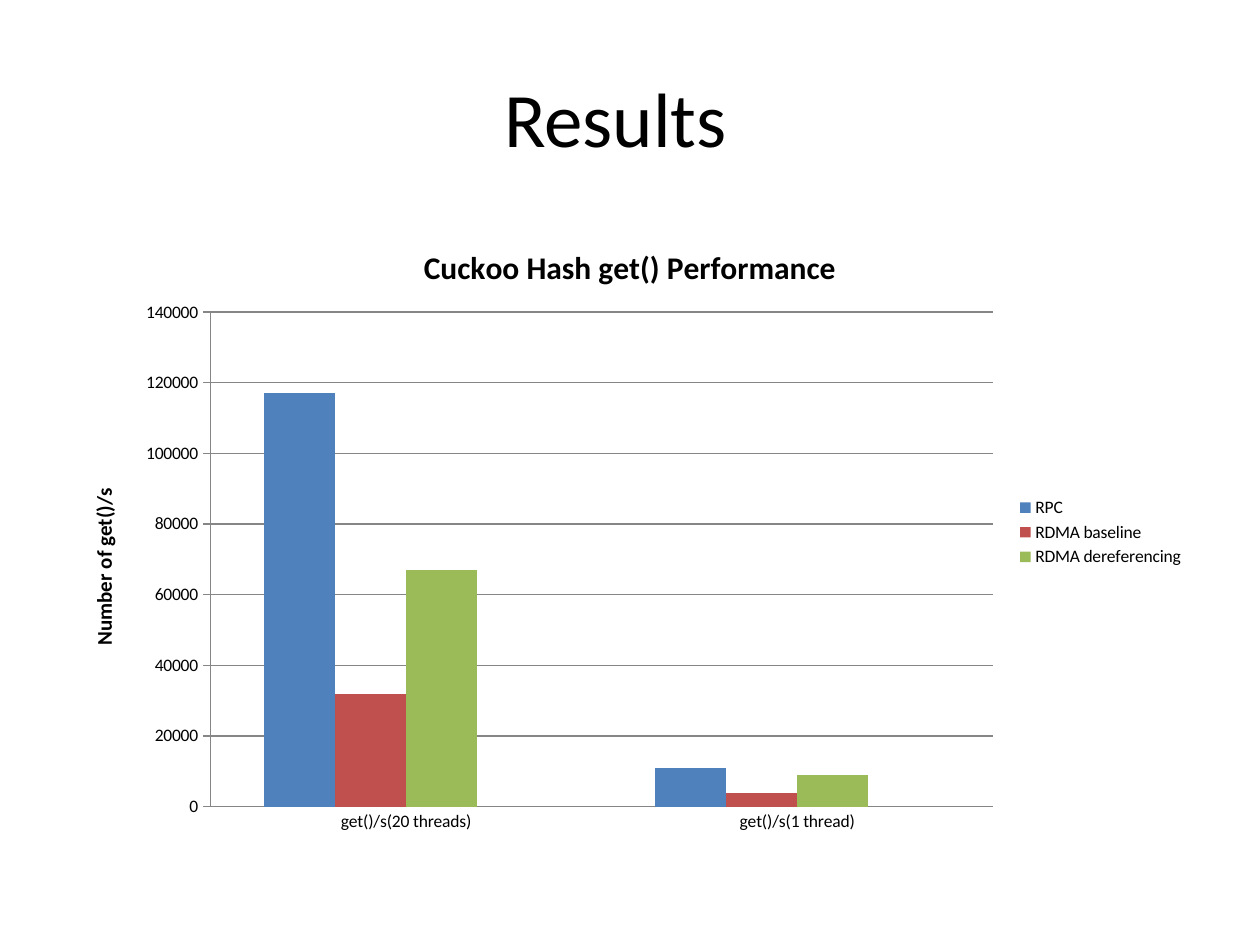
from lxml import etree
from pptx import Presentation
from pptx.chart.data import CategoryChartData
from pptx.dml.color import RGBColor
from pptx.enum.chart import XL_CHART_TYPE, XL_LEGEND_POSITION, XL_TICK_MARK
from pptx.enum.text import MSO_ANCHOR, PP_ALIGN
from pptx.oxml import parse_xml
from pptx.oxml.ns import nsdecls, qn
from pptx.util import Pt

FONT = "Calibri"
BLACK, GRAY = "000000", "868686"
CATEGORIES = ["get()/s(20 threads)", "get()/s(1 thread)"]
SERIES = [
    ("RPC", (117000, 11000), "4F81BD"),
    ("RDMA baseline", (32000, 4000), "C0504D"),
    ("RDMA dereferencing", (67000, 9000), "9BBB59"),
    ("Series 4", (None, None), "8064A2"),
]
EMPTY_SERIES = 3
PLOT_LAYOUT = {"x": 0.13, "y": 0.147, "w": 0.69, "h": 0.793}


def color(value):
    return RGBColor.from_string(value)


def format_font(font, size, bold=False):
    for name, value in {"name": FONT, "size": Pt(size), "bold": bold}.items():
        setattr(font, name, value)
    font.color.rgb = color(BLACK)


def format_line(line):
    line.color.rgb = color(GRAY)
    line.width = Pt(0.75)


def set_title(slide, left, top, width, height):
    title = slide.shapes.title
    box = {"left": left, "top": top, "width": width, "height": height}
    for name, value in box.items():
        setattr(title, name, Pt(value))
    title.text_frame.vertical_anchor = MSO_ANCHOR.MIDDLE
    paragraph = title.text_frame.paragraphs[0]
    paragraph.alignment = PP_ALIGN.CENTER
    run = paragraph.add_run()
    run.text = "Results\t"
    format_font(run.font, 44)


def write_chart_title(owner, text, size):
    """Title a chart or one of its axes."""
    paragraph = owner.text_frame.paragraphs[0]
    run = paragraph.add_run()
    run.text = text
    format_font(run.font, size, bold=True)


def place_plot_area(chart):
    """Fix the inner plot area as fractions of the chart."""
    plot_area = chart.plots[0]._element.getparent()
    for old in plot_area.findall(qn("c:layout")):
        plot_area.remove(old)
    layout = parse_xml(f"<c:layout {nsdecls('c')}><c:manualLayout/></c:layout>")
    settings = {"layoutTarget": "inner", "xMode": "edge", "yMode": "edge", **PLOT_LAYOUT}
    for name, value in settings.items():
        etree.SubElement(layout[0], qn(f"c:{name}")).set("val", str(value))
    plot_area.insert(0, layout)


def hide_legend_entry(legend, index):
    entry = parse_xml(
        f'<c:legendEntry {nsdecls("c")}><c:idx val="{index}"/>'
        '<c:delete val="1"/></c:legendEntry>'
    )
    legend._element.find(qn("c:legendPos")).addnext(entry)


def format_axes(chart):
    category_axis, value_axis = chart.category_axis, chart.value_axis
    for axis in (category_axis, value_axis):
        format_font(axis.tick_labels.font, 10)
        format_line(axis.format.line)
        axis.minor_tick_mark = XL_TICK_MARK.NONE
    category_axis.major_tick_mark = XL_TICK_MARK.NONE
    limits = {"minimum_scale": 0, "maximum_scale": 140000, "major_unit": 20000}
    for name, value in limits.items():
        setattr(value_axis, name, value)
    value_axis.major_tick_mark = XL_TICK_MARK.OUTSIDE
    value_axis.has_major_gridlines = True
    format_line(value_axis.major_gridlines.format.line)
    write_chart_title(value_axis.axis_title, "Number of get()/s", 12)


def add_performance_chart(slide, left, top, width, height):
    data = CategoryChartData(number_format="General")
    data.categories = CATEGORIES
    for name, values, _ in SERIES:
        data.add_series(name, values)
    chart = slide.shapes.add_chart(
        XL_CHART_TYPE.COLUMN_CLUSTERED, Pt(left), Pt(top), Pt(width), Pt(height), data
    ).chart
    format_font(chart.font, 10)
    write_chart_title(chart.chart_title, "Cuckoo Hash get() Performance", 18)
    format_axes(chart)

    plot = chart.plots[0]
    for name, value in {"gap_width": 150, "overlap": 0, "vary_by_categories": False}.items():
        setattr(plot, name, value)
    for series, (_, _, fill) in zip(plot.series, SERIES):
        series.format.fill.solid()
        series.format.fill.fore_color.rgb = color(fill)

    chart.has_legend = True
    chart.legend.position = XL_LEGEND_POSITION.RIGHT
    chart.legend.include_in_layout = False
    format_font(chart.legend.font, 10)
    hide_legend_entry(chart.legend, EMPTY_SERIES)
    place_plot_area(chart)


def main():
    presentation = Presentation()
    presentation.slide_width, presentation.slide_height = Pt(720), Pt(540)
    slide = presentation.slides.add_slide(presentation.slide_layouts[5])
    set_title(slide, 36, 21.6, 648, 90)
    add_performance_chart(slide, 36, 126, 648, 356.4)
    presentation.save("out.pptx")


if __name__ == "__main__":
    main()
